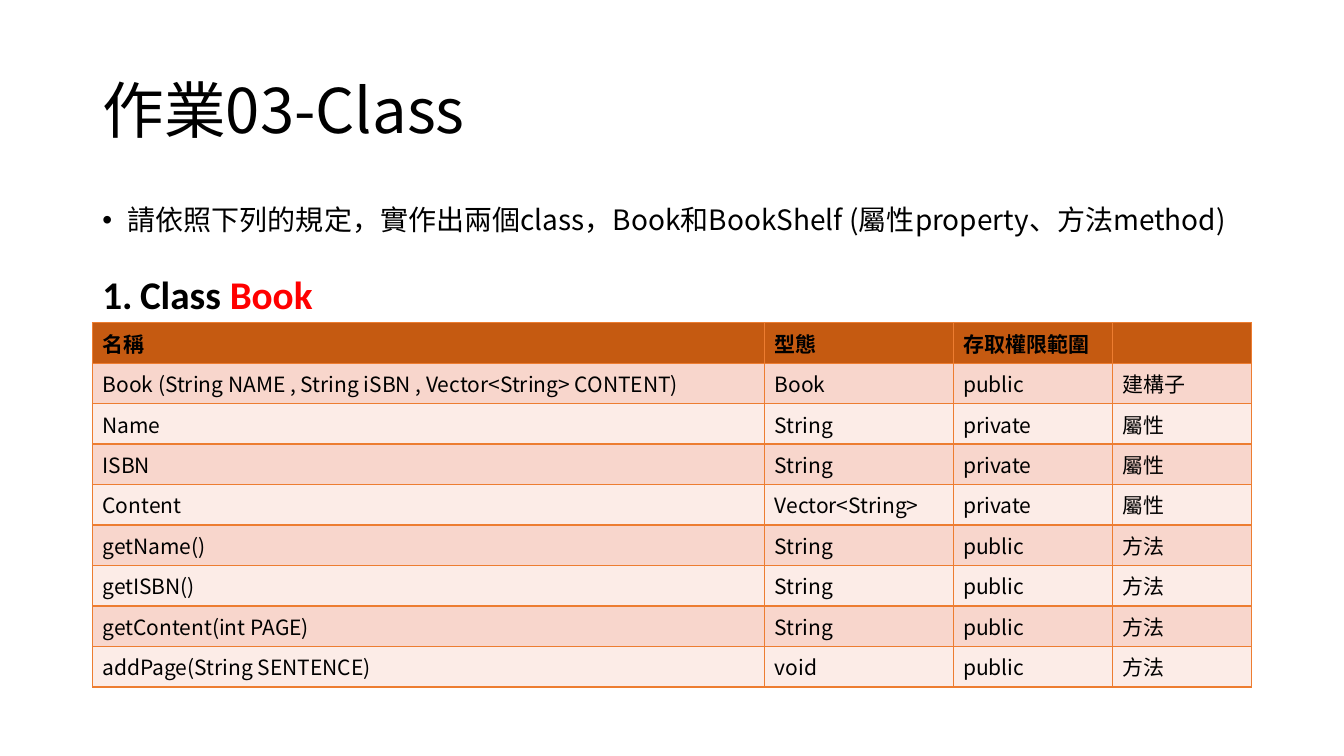
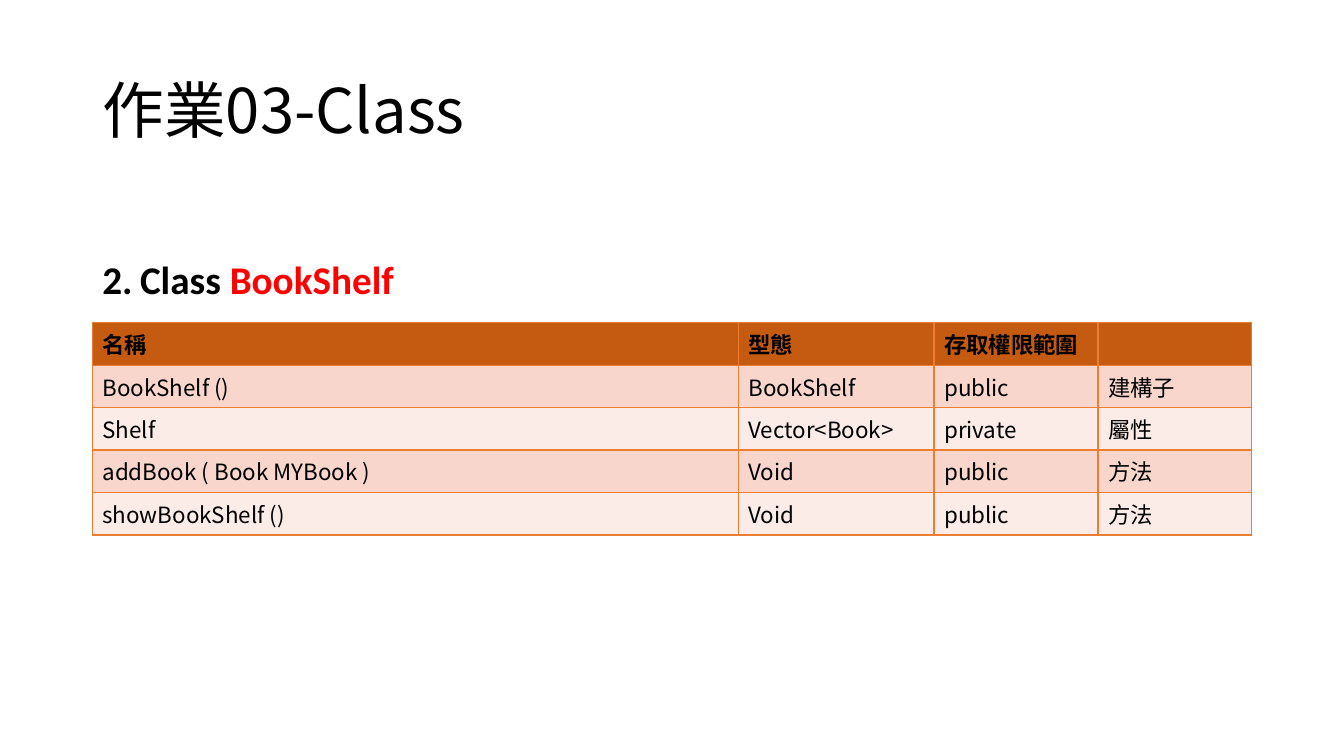
from lxml import etree
from pptx import Presentation
from pptx import util as u
from pptx.dml.color import RGBColor
from pptx.enum import text
from pptx.oxml import ns

BLACK = RGBColor(0x00, 0x00, 0x00)
RED = RGBColor(0xFF, 0x00, 0x00)
RUST = RGBColor(0xC5, 0x5A, 0x11)
ORANGE = RGBColor(0xED, 0x7D, 0x31)
ROSE = RGBColor(0xF8, 0xD6, 0xCC)
BLUSH = RGBColor(0xFC, 0xEC, 0xE7)

HEAD = ["名稱", "型態", "存取權限範圍", ""]
BOOK = [
    ["Book (String NAME , String iSBN , Vector<String> CONTENT)",
     "Book", "public", "建構子"],
    ["Name", "String", "private", "屬性"],
    ["ISBN", "String", "private", "屬性"],
    ["Content", "Vector<String>", "private", "屬性"],
    ["getName()", "String", "public", "方法"],
    ["getISBN()", "String", "public", "方法"],
    ["getContent(int PAGE)", "String", "public", "方法"],
    ["addPage(String SENTENCE)", "void", "public", "方法"],
]
SHELF = [
    ["BookShelf ()", "BookShelf", "public", "建構子"],
    ["Shelf", "Vector<Book>", "private", "屬性"],
    ["addBook ( Book MYBook )", "Void", "public", "方法"],
    ["showBookShelf ()", "Void", "public", "方法"],
]


def sub(node, tag, **attrs):
    """Append a drawing element to a node."""
    return etree.SubElement(node, ns.qn("a:" + tag), attrs)


class Deck:
    cjk = "Noto Sans CJK TC"
    latin = "Calibri"
    left = u.Cm(2.33)
    width = u.Cm(29.21)

    def __init__(self):
        self.prs = Presentation()
        self.prs.slide_width = u.Cm(33.87)
        self.prs.slide_height = u.Cm(19.05)
        self.slide = None

    def style(self, run, size, face, color=BLACK, bold=False):
        font = run.font
        font.size, font.name, font.bold = u.Pt(size), face, bold
        font.color.rgb = color
        sub(font._element, "ea", typeface=face)

    def title(self, words):
        """Start a slide with its title."""
        self.slide = self.prs.slides.add_slide(self.prs.slide_layouts[5])
        box = self.slide.shapes.title
        box.left, box.top = self.left, u.Cm(1.01)
        box.width, box.height = self.width, u.Cm(3.68)
        frame = box.text_frame
        frame.text = words
        frame.auto_size = text.MSO_AUTO_SIZE.NONE
        frame.vertical_anchor = text.MSO_ANCHOR.MIDDLE
        para = frame.paragraphs[0]
        para.alignment = text.PP_ALIGN.LEFT
        para.line_spacing = 0.9
        self.style(para.runs[0], 44, self.cjk)

    def item(self, top, width, height, indent, mark, **attrs):
        """Add a text box and return its marked paragraph."""
        box = self.slide.shapes.add_textbox(self.left, top, width, height)
        box.text_frame.word_wrap = True
        para = box.text_frame.paragraphs[0]
        props = para._p.get_or_add_pPr()
        props.set("marL", str(indent))
        props.set("indent", str(-indent))
        sub(sub(props, "buClr"), "srgbClr", val=str(BLACK))
        sub(props, "buFont", typeface="Arial" if mark == "buChar" else "+mj-lt")
        sub(props, mark, **attrs)
        return para

    def bullet(self, words):
        para = self.item(u.Cm(5.08), u.Cm(30.43), u.Cm(1.5), u.Cm(0.64),
                         "buChar", char="•")
        para.text = words
        para.line_spacing = 0.9
        self.style(para.runs[0], 20, self.cjk)

    def heading(self, number, name, top, width):
        para = self.item(top, width, u.Cm(1.45), u.Cm(0.95), "buAutoNum",
                         type="arabicPeriod", startAt=str(number))
        for words, color in (("Class ", BLACK), (name, RED)):
            run = para.add_run()
            run.text = words
            self.style(run, 28, self.latin, color, True)

    def border(self, cell):
        props = cell._tc.get_or_add_tcPr()
        for side in ("lnL", "lnR", "lnT", "lnB"):
            line = sub(props, side, w=str(u.Pt(1)))
            sub(sub(line, "solidFill"), "srgbClr", val=str(ORANGE))

    def table(self, rows, widths, height, size):
        rows = [HEAD] + rows
        grid = self.slide.shapes.add_table(
            len(rows), len(widths), self.left, u.Cm(8.13),
            self.width, height * len(rows)).table
        for col, width in zip(grid.columns, widths):
            col.width = u.Cm(width)
        for i, row in enumerate(rows):
            fill = RUST if i == 0 else (BLUSH, ROSE)[i % 2]
            for j, words in enumerate(row):
                cell = grid.cell(i, j)
                self.border(cell)
                cell.fill.solid()
                cell.fill.fore_color.rgb = fill
                run = cell.text_frame.paragraphs[0].add_run()
                run.text = words
                self.style(run, size, self.cjk, bold=i == 0)


def main():
    deck = Deck()

    # Book class
    deck.title("作業03-Class")
    deck.bullet("請依照下列的規定，實作出兩個class，Book和BookShelf "
                "(屬性property、方法method)")
    deck.table(BOOK, [16.94, 4.75, 4.01, 3.51], u.Cm(1.02), 15)
    deck.heading(1, "Book", u.Cm(6.68), u.Cm(5.87))

    # BookShelf class
    deck.title("作業03-Class")
    deck.table(SHELF, [16.28, 4.93, 4.13, 3.87], u.Cm(1.07), 16)
    deck.heading(2, "BookShelf", u.Cm(6.3), u.Cm(7.95))

    deck.prs.save("out.pptx")


if __name__ == "__main__":
    main()
